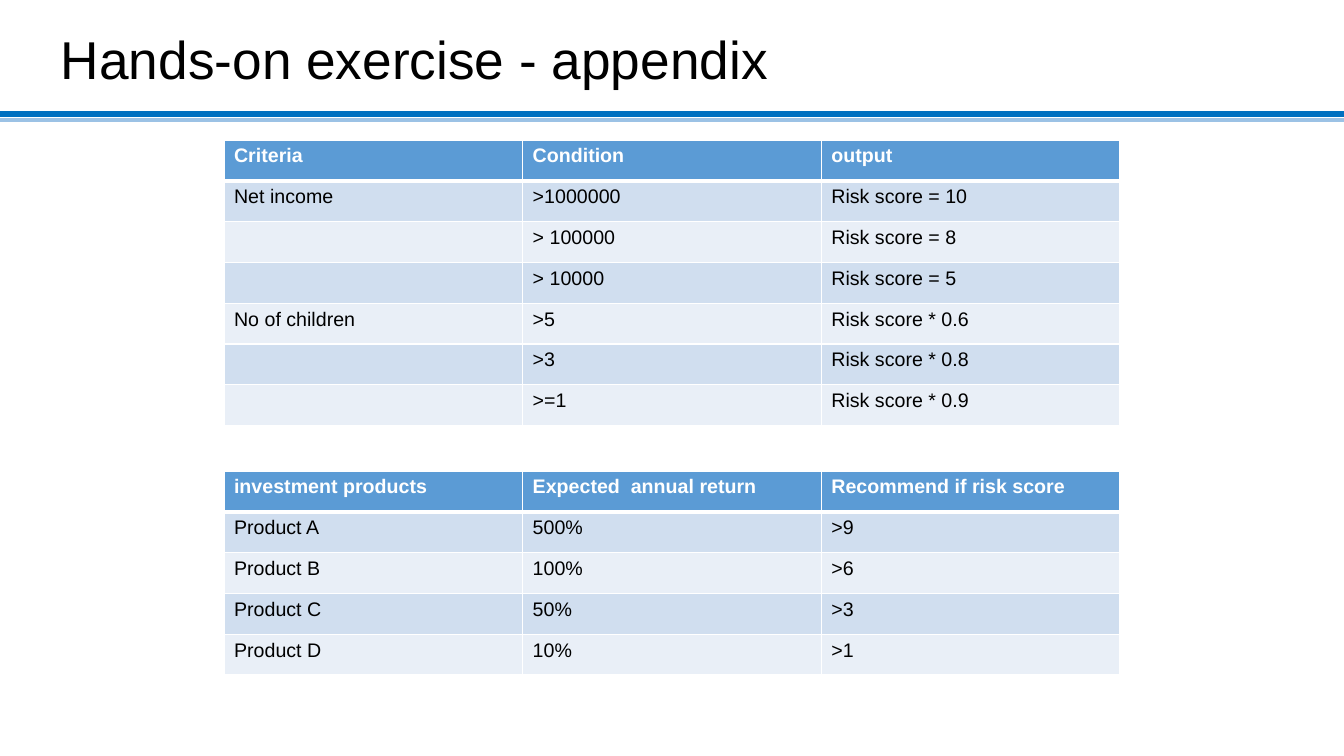
from lxml.etree import SubElement as Sub
from pptx import Presentation
from pptx.dml.color import RGBColor as Color
from pptx.enum.shapes import MSO_CONNECTOR as Kind
from pptx.enum.text import MSO_ANCHOR as Anchor
from pptx.oxml.ns import qn
from pptx.util import Pt

TITLE = "Hands-on exercise - appendix"
RULES = [(120, "9CC2E5", 2.25), (114, "0070C0", 4.5)]
SCORES = [
    ("Criteria", "Condition", "output"),
    ("Net income", ">1000000", "Risk score = 10"),
    ("", "> 100000", "Risk score = 8"),
    ("", "> 10000", "Risk score = 5"),
    ("No of children", ">5", "Risk score * 0.6"),
    ("", ">3", "Risk score * 0.8"),
    ("", ">=1", "Risk score * 0.9"),
]
PRODUCTS = [
    ("investment products", "Expected  annual return", "Recommend if risk score"),
    ("Product A", "500%", ">9"),
    ("Product B", "100%", ">6"),
    ("Product C", "50%", ">3"),
    ("Product D", "10%", ">1"),
]
TABLES = [(140, SCORES), (471, PRODUCTS)]
WIDE, HIGH = 1344, 756
LEFT, COL, ROW = 224, 298.67, 40.8
HEAD, BANDS = "5B9BD5", ("E9EFF7", "D0DEEF")
WHITE, BLACK = "FFFFFF", "000000"
BOLD = {"name": "Arial", "size": Pt(14), "bold": True}
PLAIN = {**BOLD, "bold": False}
LARGE = {"name": "Arial", "size": Pt(38)}


def px(*vals):
    return [round(v * 914400 / 100.8) for v in vals]


def rgb(code):
    return Color.from_string(code)


def style(font, look, code):
    for key, val in look.items():
        setattr(font, key, val)
    font.color.rgb = rgb(code)


def edge(cell, side, width):
    line = Sub(cell._tc.get_or_add_tcPr(), qn("a:ln" + side), w=str(Pt(width)))
    fill = Sub(line, qn("a:solidFill"))
    Sub(fill, qn("a:srgbClr"), val=WHITE)


def grid(top, data):
    count = len(data[0])
    box = px(LEFT, top, COL * count, ROW * len(data))
    table = slide.shapes.add_table(len(data), count, *box).table
    table.horz_banding = False
    for i, texts in enumerate(data):
        table.rows[i].height = px(ROW)[0]
        for j, text in enumerate(texts):
            cell = table.cell(i, j)
            cell.text = text
            look, code = (PLAIN, BLACK) if i else (BOLD, WHITE)
            style(cell.text_frame.paragraphs[0].font, look, code)
            for side, width in zip("LRTB", (1, 1, 3 if i == 1 else 1, 1 if i else 3)):
                edge(cell, side, width)
            cell.fill.solid()
            cell.fill.fore_color.rgb = rgb(BANDS[i % 2] if i else HEAD)


deck = Presentation()
deck.slide_width, deck.slide_height = px(WIDE, HIGH)
slide = deck.slides.add_slide(deck.slide_layouts[6])

for y, code, width in RULES:
    rule = slide.shapes.add_connector(Kind.STRAIGHT, *px(0, y, WIDE, y))
    rule.line.color.rgb = rgb(code)
    rule.line.width = Pt(width)
    Sub(rule._element.spPr, qn("a:effectLst"))

frame = slide.shapes.add_textbox(*px(51, 28, 915, 68)).text_frame
frame.word_wrap = True
frame.vertical_anchor = Anchor.BOTTOM
para = frame.paragraphs[0]
para.text = TITLE
para.line_spacing = 0.9
style(para.runs[0].font, LARGE, BLACK)

for top, data in TABLES:
    grid(top, data)

deck.save("out.pptx")
